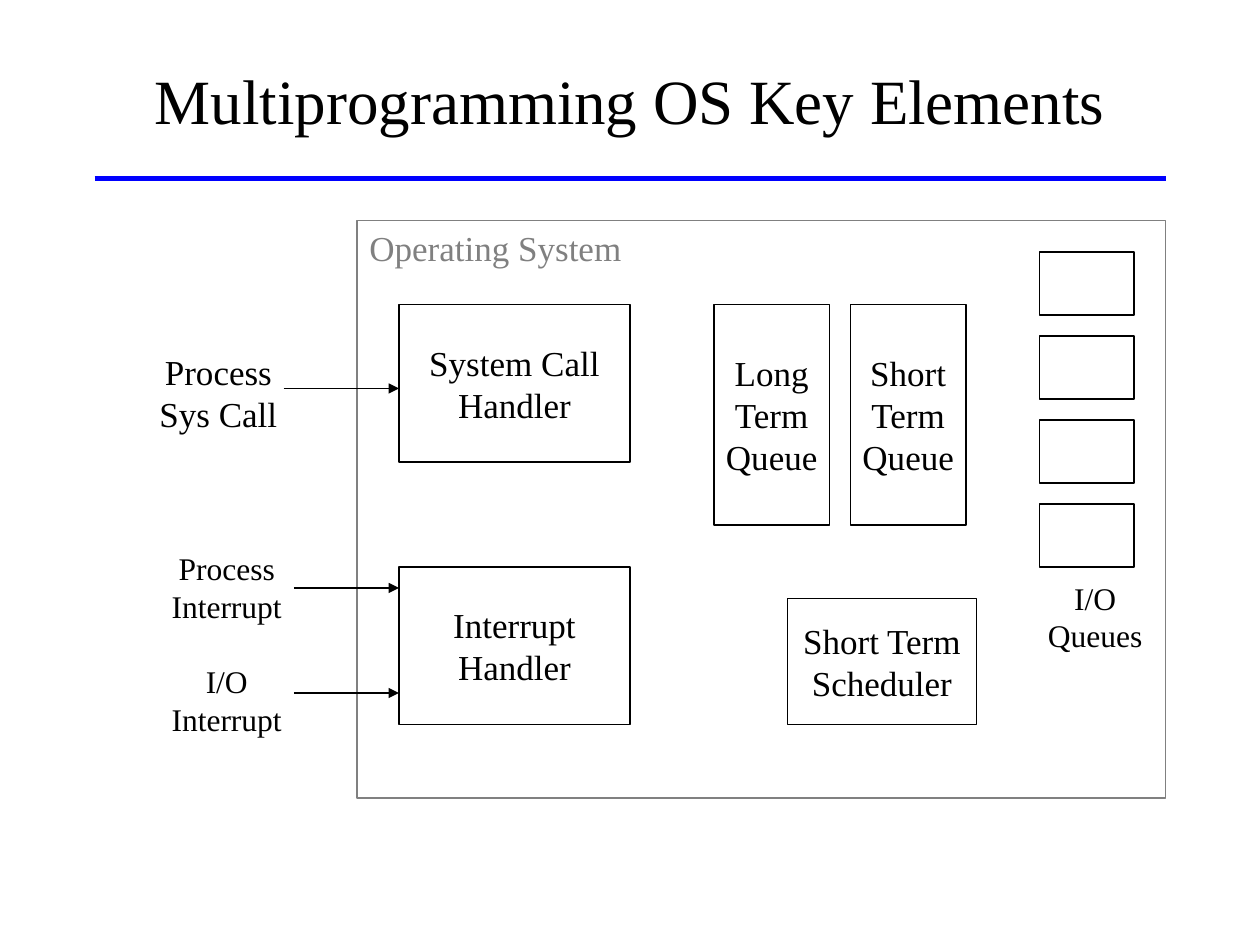
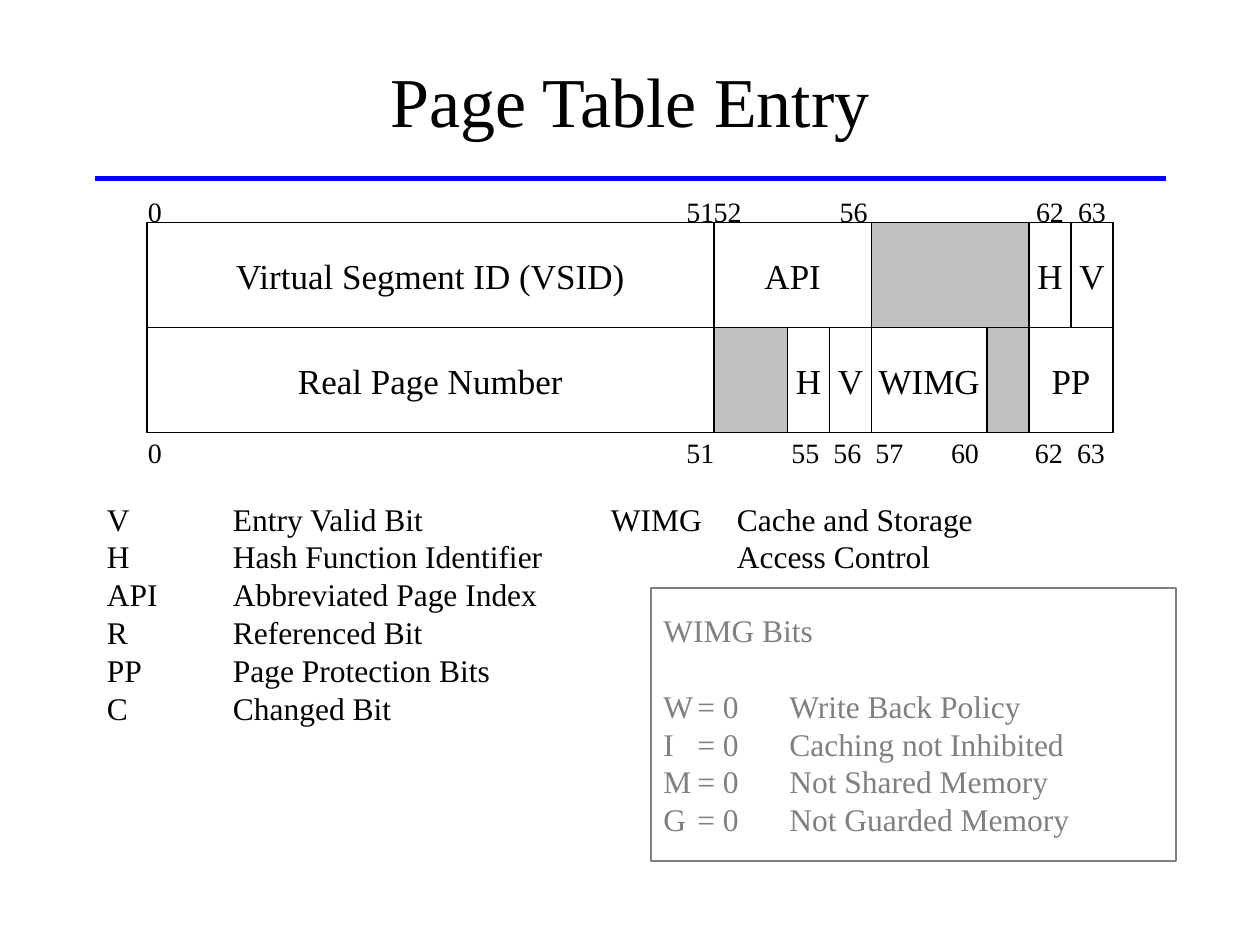
from collections import namedtuple
from itertools import accumulate

from lxml.etree import SubElement
from pptx import Presentation
from pptx.dml.color import RGBColor
from pptx.enum.shapes import MSO_CONNECTOR as Connector, MSO_SHAPE as Shape
from pptx.enum.text import MSO_ANCHOR as Anchor, PP_ALIGN as Align
from pptx.oxml.ns import qn
from pptx.util import Inches, Pt

FONT = "Times New Roman"
BLACK, WHITE, BLUE, GREY, SILVER = "000000", "FFFFFF", "0000FF", "808080", "C0C0C0"
COLUMNS, ROWS = 120, 90
UNIT = Inches(10) / COLUMNS
LINE_HEIGHT = 1.2
THIN = 0.75

Box = namedtuple("Box", "left top width height")

TITLE = Box(9, 2, 102, 15)
OPERATING_SYSTEM = Box(34, 21, 77, 55)
CALLERS = Box(14, 32, 24, 40)
ENTRY = Box(14, 21.2, 92, 20)
LEGEND = Box(9, 47, 88, 26.4)
WIMG_BITS = Box(62, 56, 50, 26)

ENTRY_ROWS = [
    [("Virtual Segment ID (VSID)", 54), ("API", 15), ("", 15), ("H", 4), ("V", 4)],
    [("Real Page Number", 54), ("", 7), ("H", 4), ("V", 4), ("WIMG", 11), ("", 4), ("PP", 8)],
]
BIT_NUMBERS = [
    (-1.1, {"0": 0.75, "51": 52.7, "52": 55.3, "56": 67.3, "62": 86, "63": 90}),
    (21.9, {"0": 0.75, "51": 52.7, "55": 62.7, "56": 66.7, "57": 70.7, "60": 77.9,
            "62": 85.9, "63": 89.9}),
]
LEGEND_LINES = [
    "V\tEntry Valid Bit\tWIMG\tCache and Storage",
    "H\tHash Function Identifier\t\tAccess Control",
    "API\tAbbreviated Page Index",
    "R\tReferenced Bit",
    "PP\tPage Protection Bits",
    "C\tChanged Bit",
]
WIMG_LINES = [
    "WIMG Bits",
    "W\t= 0\tWrite Back Policy",
    "I\t= 0\tCaching not Inhibited",
    "M\t= 0\tNot Shared Memory",
    "G\t= 0\tNot Guarded Memory",
]


def colour(code):
    """Turn a hex string into a colour."""
    return RGBColor.from_string(code)


def grid(*values):
    """Turn grid units into lengths."""
    return [round(value * UNIT) for value in values]


def inside(area, left, top, width, height):
    """Return a box placed relative to an area."""
    return Box(area.left + left, area.top + top, width, height)


def add_tabs(para, stops):
    """Give a paragraph left tab stops, in inches."""
    tabs = SubElement(para._p.get_or_add_pPr(), qn("a:tabLst"))
    for stop in stops:
        SubElement(tabs, qn("a:tab"), pos=str(Inches(stop)), algn="l")


def write(shape, text, size=20, ink=BLACK, align=Align.CENTER, anchor=Anchor.MIDDLE,
          tabs=(), gap_before=None):
    """Write lines into a shape, with an optional one-line gap before one of them."""
    frame = shape.text_frame
    frame.text = text
    frame.word_wrap = True
    frame.vertical_anchor = anchor
    frame.margin_left = frame.margin_right = Inches(0.1 if align == Align.LEFT else 0)
    frame.margin_top = frame.margin_bottom = Inches(0.05)
    for index, para in enumerate(frame.paragraphs):
        if tabs:
            add_tabs(para, tabs)
        para.alignment = align
        para.line_spacing = Pt(size * LINE_HEIGHT)
        if index == gap_before:
            para.space_before = Pt(size * LINE_HEIGHT)
        for span in para.runs:
            span.font.name = FONT
            span.font.size = Pt(size)
            span.font.color.rgb = colour(ink)


def add_label(page, box, text, **style):
    """Add a text box."""
    write(page.shapes.add_textbox(*grid(*box)), text, **style)


def add_block(page, box, text="", fill=None, edge=BLACK, **style):
    """Add an outlined rectangle with optional text."""
    block = page.shapes.add_shape(Shape.RECTANGLE, *grid(*box))
    block.shadow.inherit = False
    if fill:
        block.fill.solid()
        block.fill.fore_color.rgb = colour(fill)
    else:
        block.fill.background()
    block.line.color.rgb = colour(edge)
    block.line.width = Pt(THIN)
    if text:
        write(block, text, **style)


def add_rule(page, left, right, row, ink=BLACK, width=THIN, arrow=False):
    """Add a horizontal line, with an arrowhead at its right end if asked."""
    rule = page.shapes.add_connector(Connector.STRAIGHT, *grid(left, row, right, row))
    rule.line.color.rgb = colour(ink)
    rule.line.width = Pt(width)
    if arrow:
        SubElement(rule.line._get_or_add_ln(), qn("a:tailEnd"), type="triangle")
    SubElement(rule._element.spPr, qn("a:effectLst"))


def add_page(deck, title, size):
    """Add a slide with the shared title and blue rule."""
    page = deck.slides.add_slide(deck.slide_layouts[6])
    bottom = TITLE.top + TITLE.height
    add_rule(page, TITLE.left, TITLE.left + TITLE.width, bottom, BLUE, 3)
    add_label(page, TITLE, title, size=size)
    return page


def draw_operating_system(page, area):
    """Draw the system frame with its handlers, queues and scheduler."""
    add_block(page, area, "Operating System", edge=GREY, ink=GREY,
              align=Align.LEFT, anchor=Anchor.TOP)
    for top, name in ((8, "System Call"), (33, "Interrupt")):
        add_block(page, inside(area, 4, top, 22, 15), f"{name}\nHandler")
    for index, term in enumerate(("Long", "Short")):
        add_block(page, inside(area, 34 + 13 * index, 8, 11, 21), f"{term}\nTerm\nQueue")
    add_block(page, inside(area, 41, 36, 18, 12), "Short Term\nScheduler")
    for index in range(4):
        add_block(page, inside(area, 65, 3 + 8 * index, 9, 6))
    add_label(page, inside(area, 64.6, 33.5, 11.4, 8.4), "I/O\nQueues", size=18)


def draw_callers(page, area):
    """Draw the callers and the arrows that lead to the handlers."""
    for left, row in ((13, 5), (14, 24), (14, 34)):
        add_rule(page, area.left + left, area.left + area.width, area.top + row, arrow=True)
    add_label(page, inside(area, 0, 0.8, 13.6, 9.2), "Process\nSys Call")
    add_label(page, inside(area, 1.1, 19.7, 13, 19.2),
              "Process\nInterrupt\nI/O\nInterrupt", size=18, gap_before=2)


def draw_entry(page, area):
    """Draw the two words of the page table entry and their bit numbers."""
    height = area.height / len(ENTRY_ROWS)
    for index, fields in enumerate(ENTRY_ROWS):
        lefts = accumulate((width for _, width in fields), initial=0)
        for left, (name, width) in zip(lefts, fields):
            add_block(page, inside(area, left, index * height, width, height), name,
                      fill=WHITE if name else SILVER)
    for middle, numbers in BIT_NUMBERS:
        for number, centre in numbers.items():
            add_label(page, inside(area, centre - 2, middle - 2.2, 4, 4.4), number, size=16)


def build_key_elements(deck):
    """Build the slide on the parts of the operating system."""
    page = add_page(deck, "Multiprogramming OS Key Elements", 36)
    draw_operating_system(page, OPERATING_SYSTEM)
    draw_callers(page, CALLERS)


def build_page_table(deck):
    """Build the slide on the page table entry."""
    page = add_page(deck, "Page Table Entry", 40)
    draw_entry(page, ENTRY)
    add_label(page, LEGEND, "\n".join(LEGEND_LINES), size=18, align=Align.LEFT,
              anchor=Anchor.TOP, tabs=(1, 4, 5))
    add_block(page, WIMG_BITS, "\n".join(WIMG_LINES), fill=WHITE, edge=GREY, ink=GREY,
              size=18, align=Align.LEFT, tabs=(0.27, 1), gap_before=1)


def main():
    """Build and save the deck."""
    deck = Presentation()
    deck.slide_width, deck.slide_height = grid(COLUMNS, ROWS)
    build_key_elements(deck)
    build_page_table(deck)
    deck.save("out.pptx")


if __name__ == "__main__":
    main()
